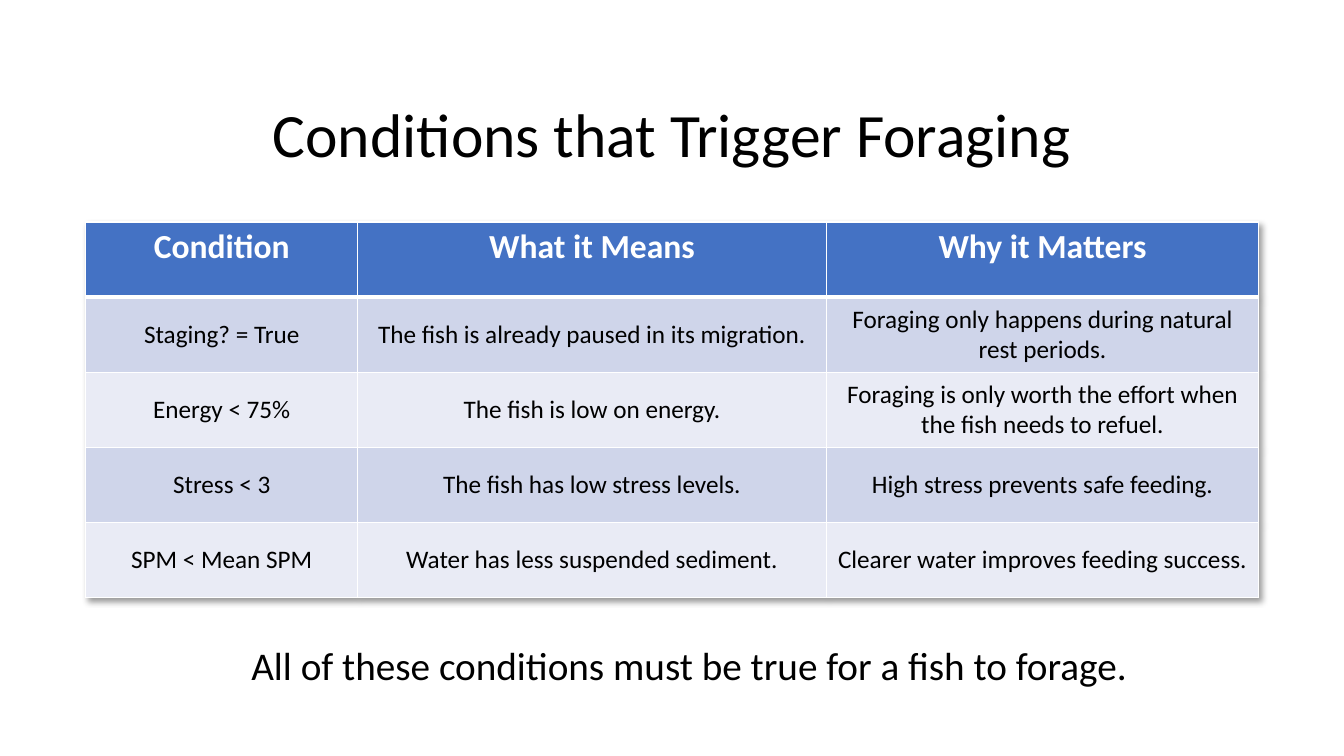
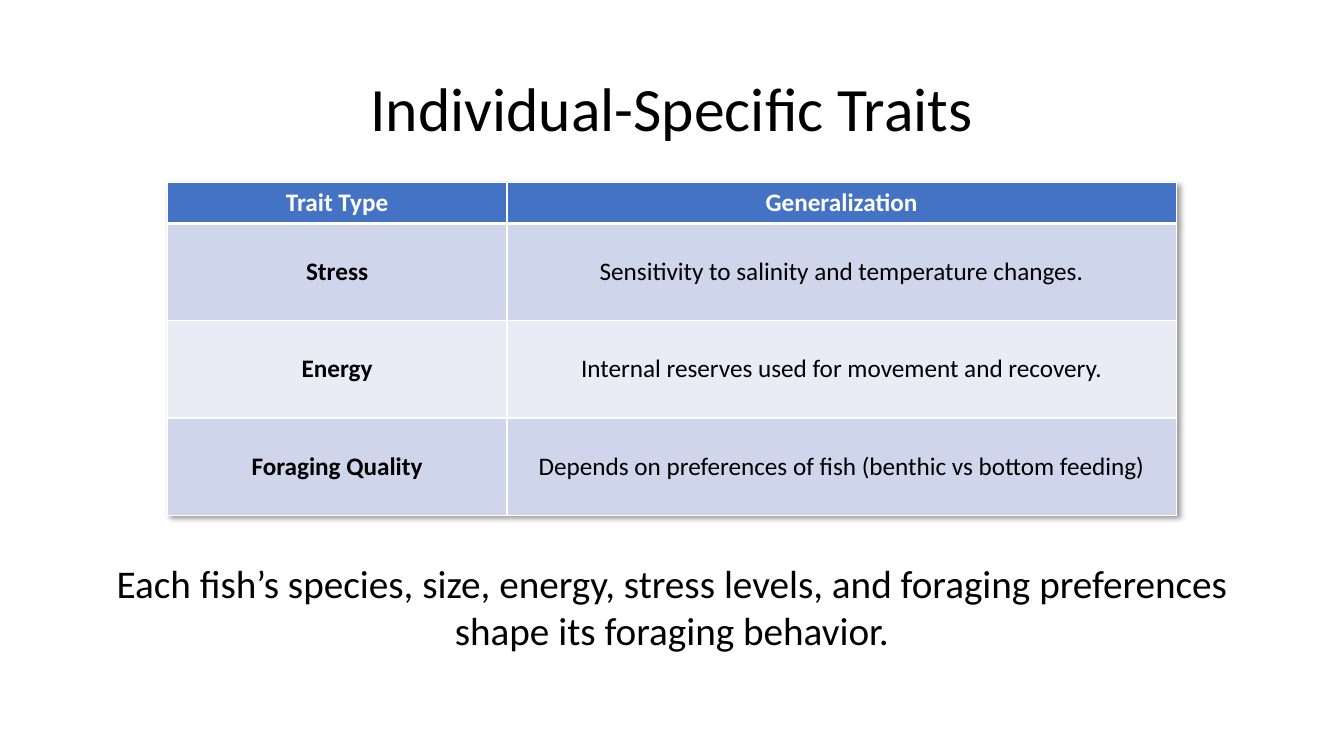
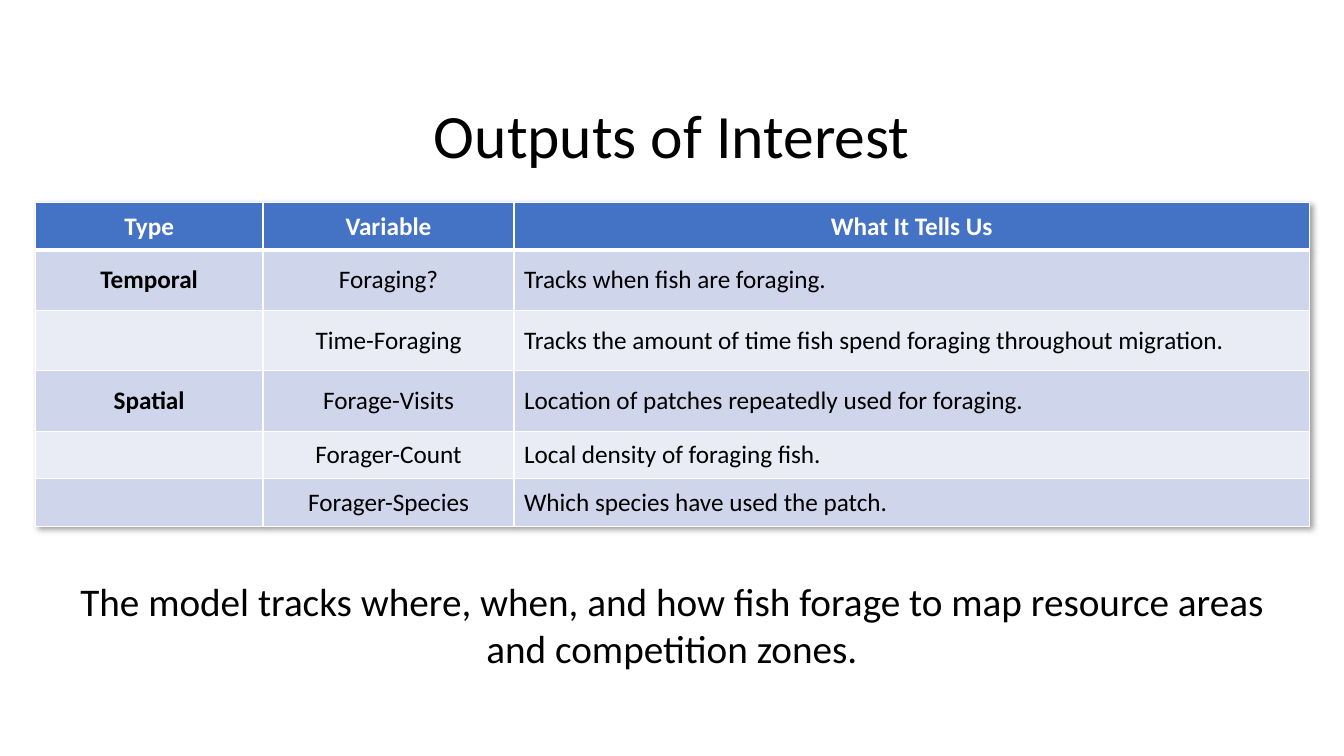
from dataclasses import dataclass

from lxml.etree import SubElement
from pptx import Presentation
from pptx.dml.color import RGBColor
from pptx.enum.text import MSO_ANCHOR as Anchor, MSO_AUTO_SIZE as AutoSize, PP_ALIGN as Align
from pptx.oxml import parse_xml
from pptx.oxml.ns import nsdecls, qn
from pptx.util import Pt


@dataclass(frozen=True)
class Theme:
    font: str = "Calibri"
    ink: str = "000000"
    paper: str = "FFFFFF"
    header: str = "4472C4"
    bands: tuple = ("CFD5EA", "E9EBF5")
    title_size: int = 44
    note_size: int = 28
    cell_size: int = 18
    large_header_size: int = 24
    rule: int = 1
    header_rule: int = 3


@dataclass(frozen=True)
class Column:
    width: float
    align: Align = Align.CENTER
    bold: bool = False


THEME = Theme()
SLIDE_SIZE = (960, 540)


def write_text(frame, text, *, size, color=THEME.ink, bold=False,
               align=Align.CENTER, spacing=None):
    para = frame.paragraphs[0]
    para.alignment = align
    if spacing:
        para.line_spacing = spacing
    if not text:
        para.font.size = Pt(size)
        return
    span = para.add_run()
    span.text = text
    span.font.name = THEME.font
    span.font.size = Pt(size)
    span.font.bold = bold
    span.font.color.rgb = RGBColor.from_string(color)


def add_text_box(page, bounds, text, *, anchor=Anchor.TOP, grow=False, **text_format):
    box = page.shapes.add_textbox(*map(Pt, bounds))
    frame = box.text_frame
    frame.word_wrap = True
    frame.auto_size = AutoSize.SHAPE_TO_FIT_TEXT if grow else AutoSize.NONE
    frame.vertical_anchor = anchor
    write_text(frame, text, **text_format)


def add_title(page, text, top):
    add_text_box(page, (66, top, 828, 104.4), text, anchor=Anchor.MIDDLE,
                 size=THEME.title_size, spacing=0.9)


def add_note(page, text, bounds):
    add_text_box(page, bounds, text, grow=True, size=THEME.note_size)


def set_borders(cell, top, bottom):
    """Draw white rules on all four sides; the side rules have the normal width."""
    properties = cell._tc.get_or_add_tcPr()
    widths = {"lnL": THEME.rule, "lnR": THEME.rule, "lnT": top, "lnB": bottom}
    for position, (side, width) in enumerate(widths.items()):
        line = parse_xml(f'<a:{side} {nsdecls("a")} w="{Pt(width)}"/>')
        fill = SubElement(line, qn("a:solidFill"))
        SubElement(fill, qn("a:srgbClr"), val=THEME.paper)
        properties.insert(position, line)


def add_table_shadow(table):
    shadow = parse_xml(
        f'<a:effectLst {nsdecls("a")}>'
        f'<a:outerShdw blurRad="{Pt(4)}" dist="{Pt(3)}" dir="2700000" algn="tl" rotWithShape="0">'
        f'<a:srgbClr val="{THEME.ink}"><a:alpha val="40000"/></a:srgbClr>'
        '</a:outerShdw></a:effectLst>')
    table._tbl.tblPr.insert(0, shadow)


def format_cell(cell, text, column, row_index, header_size, header_anchor):
    is_header = row_index == 0
    cell.fill.solid()
    fill = THEME.header if is_header else THEME.bands[(row_index - 1) % 2]
    cell.fill.fore_color.rgb = RGBColor.from_string(fill)
    cell.vertical_anchor = header_anchor if is_header else Anchor.MIDDLE
    set_borders(cell,
                top=THEME.header_rule if row_index == 1 else THEME.rule,
                bottom=THEME.header_rule if is_header else THEME.rule)
    if is_header:
        write_text(cell.text_frame, text, size=header_size, color=THEME.paper, bold=True)
    else:
        write_text(cell.text_frame, text, size=THEME.cell_size,
                   bold=column.bold, align=column.align)


def add_data_table(page, left, top, columns, row_heights, rows,
                   header_size=THEME.cell_size, header_anchor=Anchor.MIDDLE):
    width = sum(column.width for column in columns)
    table = page.shapes.add_table(len(rows), len(columns), Pt(left), Pt(top),
                                  Pt(width), Pt(sum(row_heights))).table
    add_table_shadow(table)
    for table_column, column in zip(table.columns, columns):
        table_column.width = Pt(column.width)
    for row_index, (height, texts) in enumerate(zip(row_heights, rows)):
        table.rows[row_index].height = Pt(height)
        for column_index, (column, text) in enumerate(zip(columns, texts)):
            format_cell(table.cell(row_index, column_index), text, column,
                        row_index, header_size, header_anchor)


def add_page(deck):
    return deck.slides.add_slide(deck.slide_layouts[6])


def add_conditions(deck):
    page = add_page(deck)
    add_title(page, "Conditions that Trigger Foraging", 46)
    rows = [
        ("Condition", "What it Means", "Why it Matters"),
        ("Staging? = True", "The fish is already paused in its migration.",
         "Foraging only happens during natural rest periods."),
        ("Energy < 75%", "The fish is low on energy.",
         "Foraging is only worth the effort when the fish needs to refuel."),
        ("Stress < 3", "The fish has low stress levels.",
         "High stress prevents safe feeding."),
        ("SPM < Mean SPM", "Water has less suspended sediment.",
         "Clearer water improves feeding success."),
    ]
    add_data_table(page, 61.2, 158.6, [Column(194.4), Column(334.6), Column(309)],
                   [53.7] * len(rows), rows,
                   header_size=THEME.large_header_size, header_anchor=Anchor.TOP)
    add_note(page, "All of these conditions must be true for a fish to forage.",
             (67, 454.3, 850.3, 41))


def add_traits(deck):
    page = add_page(deck)
    add_title(page, "Individual-Specific Traits", 27.4)
    rows = [
        ("Trait Type", "Generalization"),
        ("Stress", "Sensitivity to salinity and temperature changes."),
        ("Energy", "Internal reserves used for movement and recovery."),
        ("Foraging Quality", "Depends on preferences of fish (benthic vs bottom feeding)"),
    ]
    add_data_table(page, 119.5, 130.4, [Column(242.6, bold=True), Column(478.1)],
                   [29.2] + [69.5] * 3, rows)
    add_note(page, "Each fish’s species, size, energy, stress levels, and foraging "
                   "preferences shape its foraging behavior.", (39.6, 396, 880.6, 75))


def add_outputs(deck):
    page = add_page(deck)
    add_title(page, "Outputs of Interest", 46.8)
    rows = [
        ("Type", "Variable", "What It Tells Us"),
        ("Temporal", "Foraging?", "Tracks when fish are foraging."),
        ("", "Time-Foraging",
         "Tracks the amount of time fish spend foraging throughout migration."),
        ("Spatial", "Forage-Visits", "Location of patches repeatedly used for foraging."),
        ("", "Forager-Count", "Local density of foraging fish."),
        ("", "Forager-Species", "Which species have used the patch."),
    ]
    columns = [Column(162.7, bold=True), Column(179.3), Column(568, align=Align.LEFT)]
    add_data_table(page, 25.2, 144.7, columns, [34] + [43.1] * 3 + [34] * 2, rows)
    add_note(page, "The model tracks where, when, and how fish forage to map resource "
                   "areas and competition zones.", (39.6, 409, 880.6, 75))


def main():
    deck = Presentation()
    deck.slide_width, deck.slide_height = map(Pt, SLIDE_SIZE)
    add_conditions(deck)
    add_traits(deck)
    add_outputs(deck)
    deck.save("out.pptx")


if __name__ == "__main__":
    main()
